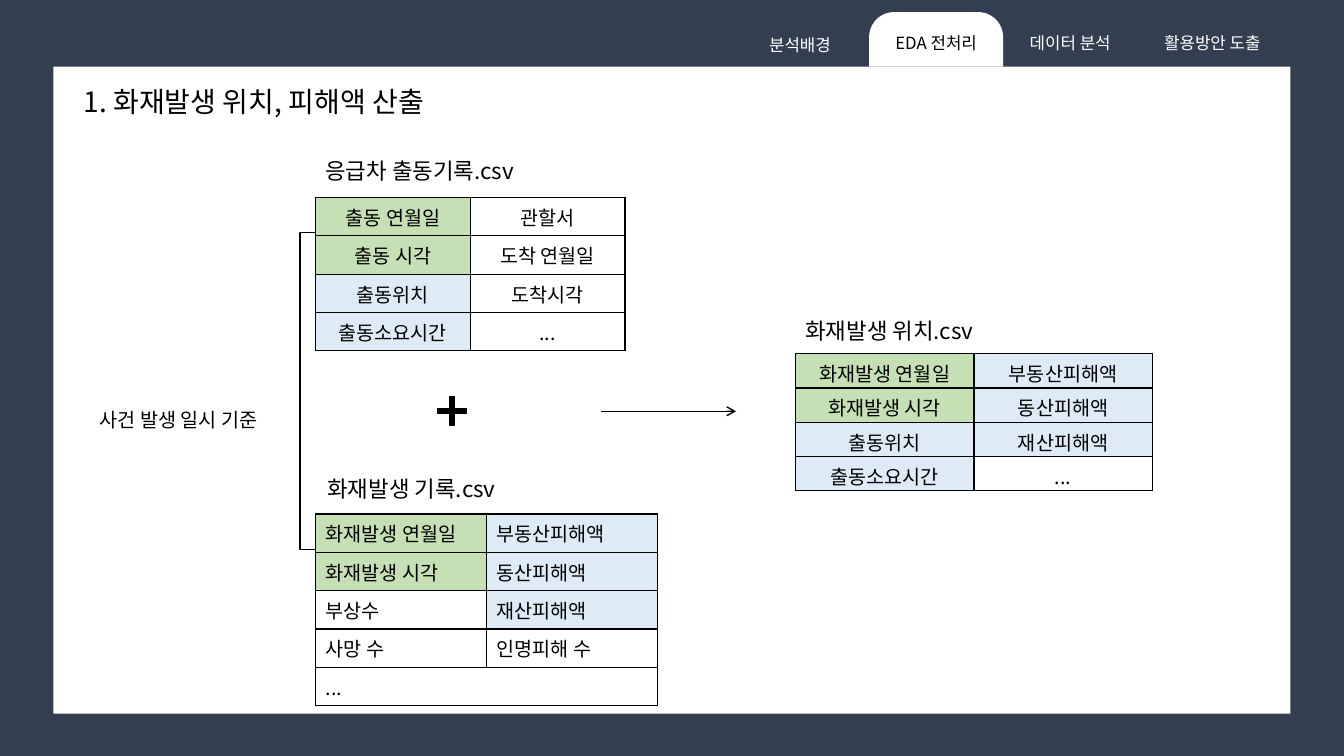
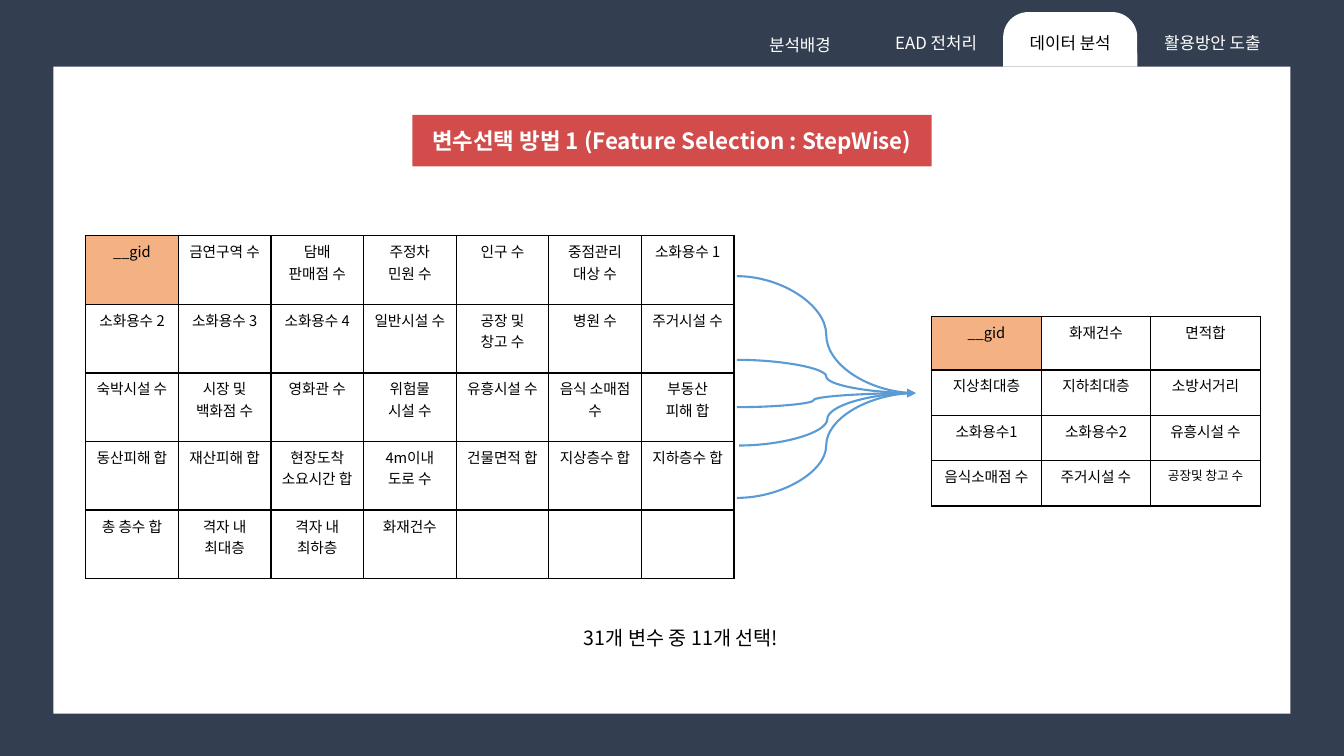
from lxml.etree import SubElement
from pptx import Presentation
from pptx.dml.color import RGBColor
from pptx.enum.shapes import MSO_CONNECTOR, MSO_SHAPE
from pptx.enum.text import MSO_ANCHOR, MSO_AUTO_SIZE, PP_ALIGN
from pptx.oxml.ns import qn
from pptx.util import Inches, Pt

# Shared look
FONT = "Noto Sans CJK KR"
NAVY, WHITE, BLACK, BLUE, RED = "333F50", "FFFFFF", "000000", "5B9BD5", "C00000"
CELL_FILLS = {"W": WHITE, "G": "C5E0B4", "B": "DEEBF7", "O": "F4B183"}
LEFT, CENTER = PP_ALIGN.LEFT, PP_ALIGN.CENTER
TITLE_ONLY = 5

# Tab left, top, width
TABS = [(7.27, 0.14, 1.33), (8.62, 0.12, 1.33), (9.95, 0.12, 1.33), (11.27, 0.12, 1.51)]

DISPATCH = [["출동 연월일", "관할서"], ["출동 시각", "도착 연월일"],
            ["출동위치", "도착시각"], ["출동소요시간", "..."]]
FIRES = [["화재발생 연월일", "부동산피해액"], ["화재발생 시각", "동산피해액"],
         ["부상수", "재산피해액"], ["사망 수", "인명피해 수"], ["...", ""]]
LOCATIONS = [["화재발생 연월일", "부동산피해액"], ["화재발생 시각", "동산피해액"],
             ["출동위치", "재산피해액"], ["출동소요시간", "..."]]
CANDIDATES = [
    ["__gid", "금연구역 수", "담배\n판매점 수", "주정차\n민원 수", "인구 수",
     "중점관리\n대상 수", "소화용수 1"],
    ["소화용수 2", "소화용수 3", "소화용수 4", "일반시설 수", "공장 및\n창고 수",
     "병원 수", "주거시설 수"],
    ["숙박시설 수", "시장 및\n백화점 수", "영화관 수", "위험물\n시설 수", "유흥시설 수",
     "음식 소매점 수", "부동산\n피해 합"],
    ["동산피해 합", "재산피해 합", "현장도착\n소요시간 합", "4m이내\n도로 수", "건물면적 합",
     "지상층수 합", "지하층수 합"],
    ["총 층수 합", "격자 내\n최대층", "격자 내\n최하층", "화재건수", "", "", ""],
]
SELECTED = [["__gid", "화재건수", "면적합"], ["지상최대층", "지하최대층", "소방서거리"],
            ["소화용수1", "소화용수2", "유흥시설 수"],
            ["음식소매점 수", "주거시설 수", "공장및 창고 수"]]


def rgb(code):
    return RGBColor.from_string(code)


def box(*lengths):
    return [Inches(length) for length in lengths]


def format_text(frame, size, color=BLACK, align=LEFT, bold=False):
    for paragraph in frame.paragraphs:
        paragraph.alignment = align
        for run in paragraph.runs:
            run.font.size = Pt(size)
            run.font.bold = bold
            run.font.color.rgb = rgb(color)
            run.font.name = FONT
            east_asian = SubElement(run.font._element, qn("a:ea"))
            east_asian.set("typeface", FONT)


def add_block(slide, kind, place, fill=None):
    block = slide.shapes.add_shape(kind, *box(*place))
    block.shadow.inherit = False
    block.line.fill.background()
    if fill:
        block.fill.solid()
        block.fill.fore_color.rgb = rgb(fill)
    else:
        block.fill.background()
    return block


def add_label(slide, text, place, size, align=LEFT):
    frame = slide.shapes.add_textbox(*box(*place)).text_frame
    frame.word_wrap = True
    frame.text = text
    format_text(frame, size, align=align)


def add_line(slide, kind, start, end, color, width, tail=None, bend=None):
    line = slide.shapes.add_connector(kind, *box(*start, *end))
    line.line.color.rgb = rgb(color)
    line.line.width = Pt(width)
    properties = line.element.spPr
    if tail:
        SubElement(properties.find(qn("a:ln")), qn("a:tailEnd")).set("type", tail)
    SubElement(properties, qn("a:effectLst"))
    if bend is not None:
        geometry = properties.find(qn("a:prstGeom"))
        adjustments = geometry.find(qn("a:avLst"))
        if adjustments is None:
            adjustments = SubElement(geometry, qn("a:avLst"))
        guide = SubElement(adjustments, qn("a:gd"))
        guide.set("name", "adj1")
        guide.set("fmla", f"val {round(bend * 100000)}")
    return line


def add_borders(cell):
    properties = cell._tc.get_or_add_tcPr()
    for side in ("lnL", "lnR", "lnT", "lnB"):
        border = SubElement(properties, qn(f"a:{side}"), w=str(Pt(1)))
        fill = SubElement(border, qn("a:solidFill"))
        SubElement(fill, qn("a:srgbClr"), val=BLACK)


def add_grid(slide, rows, fills, place, heights, size, align=CENTER, bottom=0.05):
    """Bordered table; fills holds one letter of CELL_FILLS per cell."""
    left, top, width = place
    columns = len(rows[0])
    table = slide.shapes.add_table(
        len(rows), columns, *box(left, top, width, sum(heights))).table
    table.first_row = table.horz_banding = False
    for column in table.columns:
        column.width = Inches(width / columns)
    for r, row in enumerate(rows):
        table.rows[r].height = Inches(heights[r])
        for c, text in enumerate(row):
            cell = table.cell(r, c)
            add_borders(cell)
            cell.fill.solid()
            cell.fill.fore_color.rgb = rgb(CELL_FILLS[fills[r][c]])
            cell.margin_bottom = Inches(bottom)
            cell.text_frame.text = text
            format_text(cell.text_frame, size, align=align)
    return table


def add_title(slide, text, place, size, color=BLACK, align=LEFT, bold=False,
              anchor=MSO_ANCHOR.TOP):
    title = slide.shapes.title
    title.left, title.top, title.width, title.height = box(*place)
    frame = title.text_frame
    frame.text = text
    frame.word_wrap = True
    frame.auto_size = MSO_AUTO_SIZE.NONE
    frame.vertical_anchor = anchor
    format_text(frame, size, color, align, bold)
    return title


def new_slide(deck, tab_names, active):
    """Slide with the white panel at the back and the tabs above it."""
    slide = deck.slides.add_slide(deck.slide_layouts[TITLE_ONLY])
    panel = add_block(slide, MSO_SHAPE.RECTANGLE, (0.53, 0.66, 12.27, 6.42), WHITE)
    slide.shapes.element.insert(2, panel.element)
    for index, (name, (left, top, width)) in enumerate(zip(tab_names, TABS)):
        chosen = index == active
        tab = add_block(slide, MSO_SHAPE.ROUND_2_SAME_RECTANGLE,
                        (left, top, width, 0.54), WHITE if chosen else None)
        tab.adjustments[0] = 0.46
        tab.adjustments[1] = 0
        tab.text_frame.text = name
        tab.text_frame.vertical_anchor = MSO_ANCHOR.MIDDLE
        format_text(tab.text_frame, 12, BLACK if chosen else WHITE, CENTER)
    return slide


def build_preprocessing(deck):
    slide = new_slide(deck, ["분석배경", "EDA 전처리", "데이터 분석", "활용방안 도출"], 1)
    title = add_title(slide, "1. 화재발생 위치, 피해액 산출", (0.73, 0.85, 3.66, 0.75), 20)
    title.text_frame.paragraphs[0].line_spacing = 0.82

    # Bracket joining the two source tables, turned to open to the right
    bracket = add_line(slide, MSO_CONNECTOR.ELBOW, (3.21, 5.45), (3.22, 2.31),
                       BLACK, 1, bend=25)
    bracket.element.spPr.find(qn("a:xfrm")).set("rot", "10800000")
    add_label(slide, "사건 발생 일시 기준", (0.89, 4, 1.9, 0.34), 14)

    # Source tables
    add_label(slide, "응급차 출동기록.csv", (3.13, 1.51, 2.83, 0.37), 16)
    add_grid(slide, DISPATCH, ["GW", "GW", "BW", "BW"], (3.13, 1.96, 3.07), [0.38] * 4, 14)
    add_label(slide, "화재발생 기록.csv", (3.15, 4.66, 2.83, 0.37), 16)
    fires = add_grid(slide, FIRES, ["GB", "GB", "WB", "WW", "WW"], (3.13, 5.1, 3.39),
                     [0.38] * 5, 14, LEFT)
    fires.cell(4, 0).merge(fires.cell(4, 1))

    # Plus sign and arrow to the result
    plus = add_block(slide, MSO_SHAPE.MATH_PLUS, (4.29, 3.88, 0.39, 0.39), BLACK)
    plus.adjustments[0] = 0.13
    plus.line.color.rgb = rgb(BLACK)
    plus.line.width = Pt(1)
    add_line(slide, MSO_CONNECTOR.STRAIGHT, (5.96, 4.08), (7.3, 4.08), BLACK, 1, "arrow")

    # Result table
    add_label(slide, "화재발생 위치.csv", (7.89, 3.1, 2.83, 0.37), 16)
    add_grid(slide, LOCATIONS, ["GB", "GB", "BB", "BW"], (7.89, 3.51, 3.54),
             [0.34] * 4, 14, bottom=0)


def build_selection(deck):
    slide = new_slide(deck, ["분석배경", "EAD 전처리", "데이터 분석", "활용방안 도출"], 2)
    title = add_title(slide, "변수선택 방법 1 (Feature Selection : StepWise)",
                      (4.09, 1.14, 5.15, 0.51), 16, WHITE, CENTER, True, MSO_ANCHOR.MIDDLE)
    title.fill.solid()
    title.fill.fore_color.rgb = rgb(RED)
    red = title.element.spPr.find(qn("a:solidFill")).find(qn("a:srgbClr"))
    SubElement(red, qn("a:alpha"), val="70000")

    # Candidate and selected variables
    add_grid(slide, CANDIDATES, ["OWWWWWW"] + ["W" * 7] * 4, (0.85, 2.34, 6.43),
             [0.68] * 5, 10.5)
    selected = add_grid(slide, SELECTED, ["OWW"] + ["WWW"] * 3, (9.24, 3.14, 3.26),
                        [0.53] + [0.45] * 3, 10.5)
    selected.cell(3, 2).text_frame.paragraphs[0].runs[0].font.size = Pt(9)

    # Curves meeting at one arrowhead
    for left, top, bend in [(7.31, 2.74, 0.5), (7.31, 3.57, 0.5), (7.31, 4.04, 0.43),
                            (7.33, 4.42, 0.5), (7.31, 4.94, 0.5)]:
        add_line(slide, MSO_CONNECTOR.CURVE, (left, top), (9.08, 3.9), BLUE, 1.5,
                 "triangle", bend)

    add_label(slide, "31개 변수 중 11개 선택!", (2.05, 6.16, 9.41, 0.34), 14, CENTER)


def main():
    deck = Presentation()
    deck.slide_width, deck.slide_height = box(13.33, 7.5)
    backdrop = deck.slide_master.background.fill
    backdrop.solid()
    backdrop.fore_color.rgb = rgb(NAVY)
    build_preprocessing(deck)
    build_selection(deck)
    deck.save("out.pptx")


if __name__ == "__main__":
    main()
